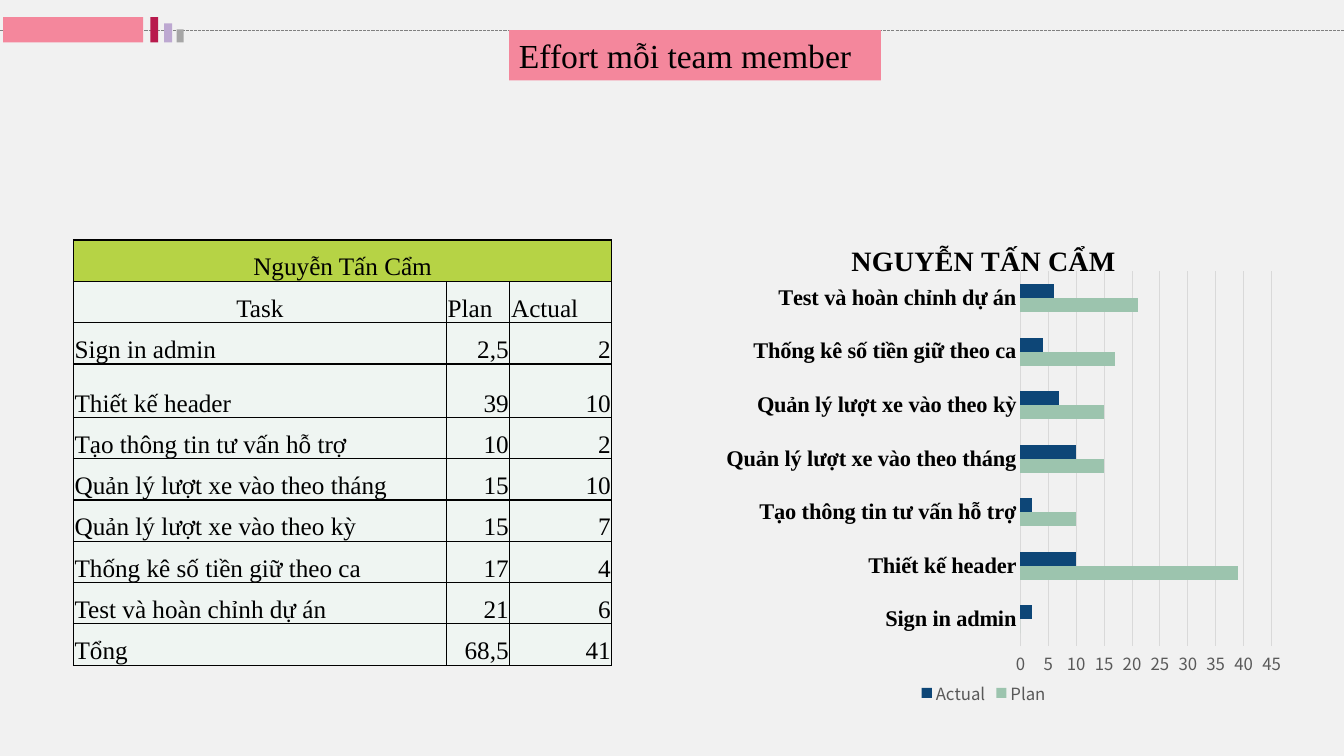
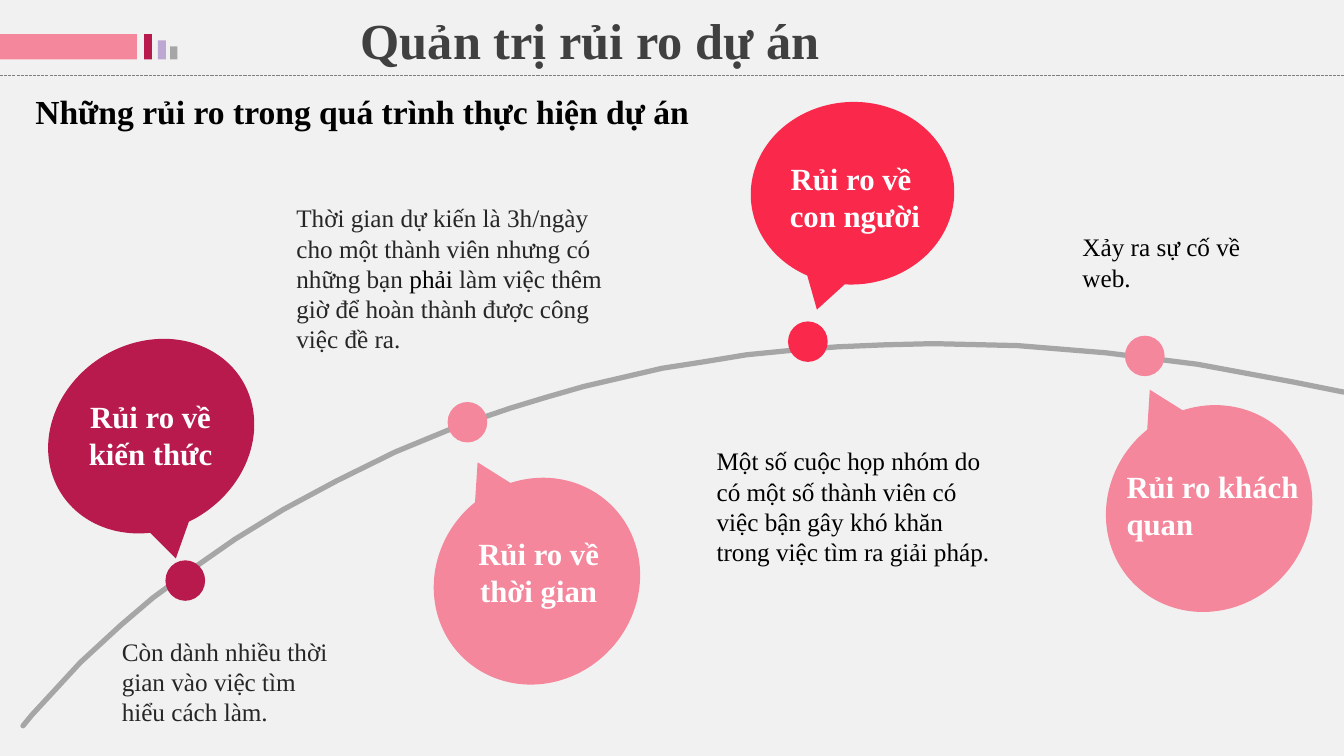
from lxml.etree import SubElement
from pptx import Presentation
from pptx.chart.data import CategoryChartData
from pptx.dml.color import RGBColor
from pptx.enum.chart import XL_CHART_TYPE, XL_LEGEND_POSITION, XL_TICK_MARK
from pptx.enum.dml import MSO_LINE
from pptx.enum.shapes import MSO_CONNECTOR, MSO_SHAPE
from pptx.enum.text import MSO_ANCHOR, PP_ALIGN
from pptx.oxml import parse_xml
from pptx.oxml.ns import nsdecls, qn
from pptx.util import Cm, Pt

SLIDE_W, SLIDE_H = 33.87, 19.05
SERIF, SANS = "Times New Roman", "Noto Sans CJK KR"
PAPER, PINK, WINE, RED = "F1F1F1", "F4879C", "B81A4D", "FA284B"
LILAC, GREY, RULE_GREY, GRID = "BDA8D1", "A6A6A6", "808080", "D9D9D9"
BLACK, WHITE, INK, TITLE_INK, AXIS_INK = "000000", "FFFFFF", "262626", "404040", "595959"
LIME, MINT, SAGE, NAVY = "B6D345", "EFF5F2", "9CC4AE", "0D4677"

# left, width, height, colour; all four stand on one baseline
STRIP = [(0, 3.53, 0.64, PINK), (3.71, 0.2, 0.64, WINE),
         (4.06, 0.2, 0.48, LILAC), (4.37, 0.18, 0.33, GREY)]

MEMBER = "Nguyễn Tấn Cẩm"
EFFORT = [("Sign in admin", "2,5", "2"), ("Thiết kế header", "39", "10"),
          ("Tạo thông tin tư vấn hỗ trợ", "10", "2"),
          ("Quản lý lượt xe vào theo tháng", "15", "10"),
          ("Quản lý lượt xe vào theo kỳ", "15", "7"),
          ("Thống kê số tiền giữ theo ca", "17", "4"),
          ("Test và hoàn chỉnh dự án", "21", "6")]
TOTAL = ("Tổng", "68,5", "41")
PLANNED = [0, 39, 10, 15, 15, 17, 21]

ROAD = [(0.58, 18.29), (0.81, 18.01), (1.3, 17.48), (2.03, 16.69), (3.05, 15.75),
        (3.86, 15.06), (4.83, 14.35), (5.92, 13.59), (7.14, 12.84), (8.48, 12.12),
        (9.96, 11.39), (11.56, 10.73), (12.85, 10.29), (13.77, 10.01), (14.71, 9.74),
        (15.7, 9.51), (16.69, 9.28), (17.73, 9.12), (18.82, 8.94), (19.94, 8.83),
        (21.11, 8.74), (22.3, 8.69), (23.52, 8.66), (25.65, 8.71), (27.86, 8.89),
        (30.18, 9.18), (32.61, 9.63), (33.86, 9.88)]

# colour, milestone (left, top), bubble box and rotation,
# label paragraphs, label (left, top, width), label alignment
RISKS = [
    (WINE, (4.17, 14.12), (1.12, 8.64, 5.38, 4.7), 327.7,
     ["Rủi ro về kiến thức"], (1.8, 9.91, 3.99), PP_ALIGN.CENTER),
    (PINK, (11.28, 10.13), (10.85, 12.12, 5.36, 5.05), 134,
     ["Rủi ro về thời gian"], (11.43, 13.36, 4.29), PP_ALIGN.CENTER),
    (RED, (19.86, 8.1), (18.92, 2.57, 5.13, 4.6), 356.6,
     ["Rủi ro về ", "con người"], (18.47, 3.91, 6.15), PP_ALIGN.CENTER),
    (PINK, (28.35, 8.46), (27.79, 10.29, 5.36, 5.05), 134,
     ["Rủi ro khách quan"], (28.14, 11.66, 4.85), PP_ALIGN.LEFT),
]

# box, then (text, colour) runs
NOTES = [
    ((3.07, 16.03, 5.21, 2.46),
     [("Còn dành nhiều thời gian vào việc tìm hiểu cách làm.", INK)]),
    ((7.47, 5.11, 7.9, 3.8),
     [("Thời gian dự kiến là 3h/ngày cho một thành viên nhưng có những bạn ", INK),
      ("phải ", BLACK),
      ("làm việc thêm giờ để hoàn thành được công việc đề ra.", INK)]),
    ((18.06, 11.23, 6.96, 3.08),
     [("Một số cuộc họp nhóm do có một số thành viên có việc bận gây khó khăn "
       "trong việc tìm ra giải pháp.", BLACK)]),
    ((27.28, 5.84, 4.55, 2.13), [("Xảy ra sự cố về web.", BLACK)]),
]


def rgb(value):
    return RGBColor.from_string(value)


def paint(target, colour):
    target.fill.solid()
    target.fill.fore_color.rgb = rgb(colour)


def style_font(font, size, colour, bold=False, face=SERIF):
    font.size, font.bold, font.name = Pt(size), bold, face
    font.color.rgb = rgb(colour)


def add_run(paragraph, text, size, colour, bold=False):
    run = paragraph.add_run()
    run.text = text
    style_font(run.font, size, colour, bold)


def add_solid(slide, preset, box, colour, rotation=0):
    """Add a filled preset shape without outline or shadow."""
    solid = slide.shapes.add_shape(preset, *map(Cm, box))
    paint(solid, colour)
    solid.line.fill.background()
    solid.shadow.inherit = False
    solid.rotation = rotation


def add_text(slide, box, paragraphs, size, bold=False, align=PP_ALIGN.LEFT,
             margin=None, fill=None):
    """Add a wrapped text box; each paragraph is a list of (text, colour) runs."""
    holder = slide.shapes.add_textbox(*map(Cm, box))
    frame = holder.text_frame
    frame.word_wrap = True
    if fill:
        paint(holder, fill)
    if margin is not None:
        frame.margin_left = frame.margin_right = Cm(margin)
        frame.margin_top = frame.margin_bottom = Cm(margin)
    for index, runs in enumerate(paragraphs):
        paragraph = frame.add_paragraph() if index else frame.paragraphs[0]
        paragraph.alignment = align
        for text, colour in runs:
            add_run(paragraph, text, size, colour, bold)


def new_slide(deck, strip_left, strip_top, rule_y):
    """Start a slide with the grey ground, the dashed rule and the colour strip."""
    slide = deck.slides.add_slide(deck.slide_layouts[6])
    paint(slide.background, PAPER)
    rule = slide.shapes.add_connector(MSO_CONNECTOR.STRAIGHT, Cm(0), Cm(rule_y),
                                      Cm(SLIDE_W), Cm(rule_y))
    rule.line.color.rgb = rgb(RULE_GREY)
    rule.line.width = Pt(0.75)
    rule.line.dash_style = MSO_LINE.SQUARE_DOT
    SubElement(rule._element.spPr, qn("a:effectLst"))
    baseline = strip_top + STRIP[0][2]
    for left, width, height, colour in STRIP:
        add_solid(slide, MSO_SHAPE.RECTANGLE,
                  (strip_left + left, baseline - height, width, height), colour)
    return slide


def add_borders(cell):
    properties = cell._tc.get_or_add_tcPr()
    for index, side in enumerate(("lnL", "lnR", "lnT", "lnB")):
        properties.insert(index, parse_xml(
            f'<a:{side} {nsdecls("a")} w="12700"><a:solidFill>'
            f'<a:srgbClr val="{BLACK}"/></a:solidFill></a:{side}>'))


def fill_cell(cell, text, align, colour):
    cell.vertical_anchor = MSO_ANCHOR.BOTTOM
    cell.margin_left = cell.margin_right = cell.margin_top = Cm(0.03)
    cell.margin_bottom = Cm(0)
    paint(cell, colour)
    add_borders(cell)
    paragraph = cell.text_frame.paragraphs[0]
    paragraph.alignment = align
    if text:
        add_run(paragraph, text, 18, BLACK)


def add_effort_table(slide):
    rows = [(MEMBER, "", ""), ("Task", "Plan", "Actual"), *EFFORT, TOTAL]
    widths = (9.4, 1.6, 2.57)
    heights = [1.35 if row[0] == "Thiết kế header" else 1.04 for row in rows]
    table = slide.shapes.add_table(len(rows), len(widths), Cm(1.85), Cm(6.05),
                                   Cm(sum(widths)), Cm(sum(heights))).table
    table.first_row = table.horz_banding = False
    for column, width in zip(table.columns, widths):
        column.width = Cm(width)
    center, left, right = PP_ALIGN.CENTER, PP_ALIGN.LEFT, PP_ALIGN.RIGHT
    header_aligns = [(center,) * 3, (center, left, left)]
    for r, row in enumerate(rows):
        table.rows[r].height = Cm(heights[r])
        aligns = header_aligns[r] if r < 2 else (left, right, right)
        for c, text in enumerate(row):
            fill_cell(table.cell(r, c), text, aligns[c], MINT if r else LIME)
    table.cell(0, 0).merge(table.cell(0, 2))


def place_plot(chart, x, y, width, height):
    """Fix the inner plot area, in fractions of the chart."""
    plot_area = chart._chartSpace.chart.plotArea
    for old in plot_area.findall(qn("c:layout")):
        plot_area.remove(old)
    places = "".join(f'<c:{tag} val="{value}"/>' for tag, value in
                     zip("xywh", (x, y, width, height)))
    plot_area.insert(0, parse_xml(
        f'<c:layout {nsdecls("c")}><c:manualLayout><c:layoutTarget val="inner"/>'
        f'<c:xMode val="edge"/><c:yMode val="edge"/>{places}'
        '</c:manualLayout></c:layout>'))


def add_effort_chart(slide):
    effort = CategoryChartData()
    effort.categories = [task for task, _, _ in EFFORT]
    effort.add_series("Plan", PLANNED)
    effort.add_series("Actual", [int(actual) for _, _, actual in EFFORT])
    chart = slide.shapes.add_chart(XL_CHART_TYPE.BAR_CLUSTERED, Cm(17.07), Cm(5.61),
                                   Cm(15.44), Cm(12.27), effort).chart
    style_font(chart.font, 10, BLACK, face=SANS)
    chart.has_title = True
    add_run(chart.chart_title.text_frame.paragraphs[0], MEMBER.upper(), 20, BLACK, True)
    chart.has_legend = True
    chart.legend.position = XL_LEGEND_POSITION.BOTTOM
    chart.legend.include_in_layout = False
    style_font(chart.legend.font, 12, AXIS_INK, face=SANS)

    plot = chart.plots[0]
    plot.gap_width, plot.vary_by_categories = 182, False
    for series, colour in zip(plot.series, (SAGE, NAVY)):
        paint(series.format, colour)

    tasks, hours = chart.category_axis, chart.value_axis
    for axis in (tasks, hours):
        axis.major_tick_mark = axis.minor_tick_mark = XL_TICK_MARK.NONE
    style_font(tasks.tick_labels.font, 16, BLACK, True)
    style_font(hours.tick_labels.font, 12, AXIS_INK, face=SANS)
    hours.minimum_scale, hours.maximum_scale, hours.major_unit = 0, 45, 5
    hours.format.line.fill.background()
    for line in (tasks.format.line, hours.major_gridlines.format.line):
        line.color.rgb = rgb(GRID)
        line.width = Pt(0.75)
    place_plot(chart, 0.56, 0.1, 0.41, 0.77)


def add_road(slide):
    points = [(Cm(x), Cm(y)) for x, y in ROAD]
    builder = slide.shapes.build_freeform(*points[0])
    builder.add_line_segments(points[1:], close=False)
    road = builder.convert_to_shape()
    road.fill.background()
    road.shadow.inherit = False
    road.line.color.rgb = rgb(GREY)
    road.line.width = Pt(3.75)
    road._element.spPr.find(qn("a:ln")).set("cap", "rnd")


def build_effort_slide(deck):
    slide = new_slide(deck, 0.08, 0.43, 0.76)
    add_effort_chart(slide)
    add_effort_table(slide)
    add_text(slide, (12.83, 0.76, 9.37, 1.27), [[("Effort mỗi team member", BLACK)]],
             24, fill=PINK)


def build_risk_slide(deck):
    slide = new_slide(deck, -0.08, 0.86, 1.9)
    add_text(slide, (8.84, 0.1, 15.29, 1.8), [[("Quản trị rủi ro dự án", TITLE_INK)]],
             36, bold=True)
    add_text(slide, (0.64, 2.16, 18.14, 1.27),
             [[("Những rủi ro trong quá trình thực hiện dự án", BLACK)]], 24, bold=True)
    add_road(slide)
    for colour, milestone, bubble, rotation, label, label_place, align in RISKS:
        add_solid(slide, MSO_SHAPE.OVAL_CALLOUT, bubble, colour, rotation)
        add_solid(slide, MSO_SHAPE.OVAL, (*milestone, 1, 1.02), colour)
        add_text(slide, (*label_place, 2.13), [[(line, WHITE)] for line in label],
                 22, bold=True, align=align)
    for box, runs in NOTES:
        add_text(slide, box, [runs], 18, margin=0)


def main():
    deck = Presentation()
    deck.slide_width, deck.slide_height = Cm(SLIDE_W), Cm(SLIDE_H)
    build_effort_slide(deck)
    build_risk_slide(deck)
    deck.save("out.pptx")


if __name__ == "__main__":
    main()
